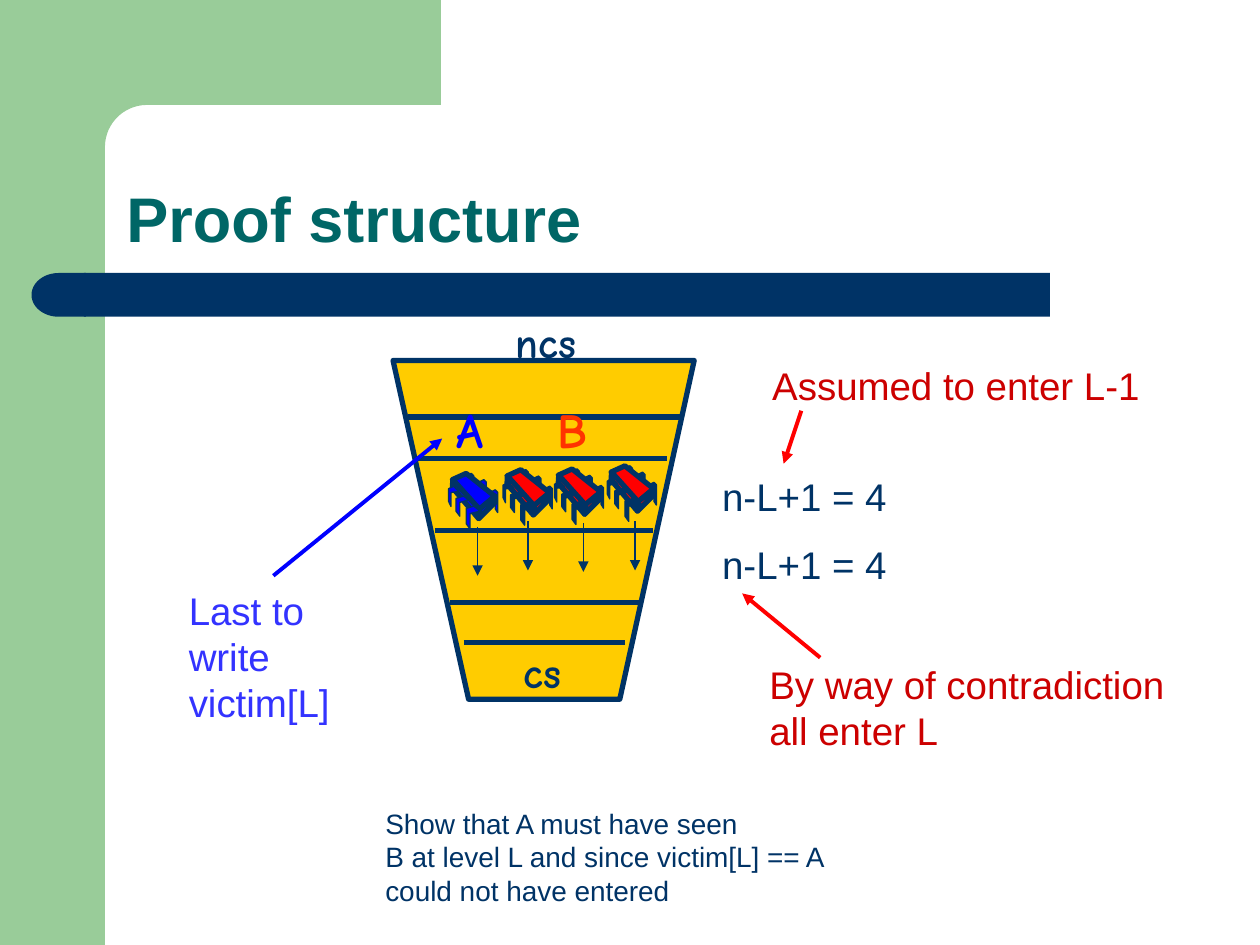
import math

import lxml.etree
import pptx
import pptx.dml.color
import pptx.enum.shapes
import pptx.enum.text
import pptx.oxml.ns
import pptx.util

Pt = pptx.util.Pt
RGBColor = pptx.dml.color.RGBColor
SHAPE = pptx.enum.shapes.MSO_SHAPE
qn = pptx.oxml.ns.qn

GREEN = RGBColor(0x99, 0xCC, 0x99)
NAVY = RGBColor(0x00, 0x33, 0x66)
TEAL = RGBColor(0x00, 0x66, 0x66)
GOLD = RGBColor(0xFF, 0xCC, 0x00)
RED = RGBColor(0xFF, 0x00, 0x00)
DARK_RED = RGBColor(0xCC, 0x00, 0x00)
ORANGE = RGBColor(0xFF, 0x33, 0x00)
BLUE = RGBColor(0x00, 0x00, 0xFF)
SOFT_BLUE = RGBColor(0x33, 0x33, 0xFF)


def add_outline(shapes, points, fill, line=None, weight=0):
    """Add a closed polygon through points, given in points of length."""
    corners = [(Pt(x), Pt(y)) for x, y in points]
    builder = shapes.build_freeform(*corners[0])
    builder.add_line_segments(corners[1:], close=True)
    outline = builder.convert_to_shape()
    outline.shadow.inherit = False
    outline.fill.solid()
    outline.fill.fore_color.rgb = fill
    if line is None:
        outline.line.fill.background()
    else:
        outline.line.color.rgb = line
        outline.line.width = Pt(weight)


def add_text(shapes, box, lines, color, font_format, frame_format):
    frame = shapes.add_textbox(*[Pt(length) for length in box]).text_frame
    for name, value in frame_format.items():
        setattr(frame, name, value)
    for index, line in enumerate(lines):
        paragraph = frame.paragraphs[0] if index == 0 else frame.add_paragraph()
        run = paragraph.add_run()
        run.text = line
        run.font.color.rgb = color
        for name, value in font_format.items():
            setattr(run.font, name, value)


LABEL_FRAME = {"word_wrap": True, "auto_size": pptx.enum.text.MSO_AUTO_SIZE.SHAPE_TO_FIT_TEXT}
TITLE_FRAME = {"word_wrap": True, "vertical_anchor": pptx.enum.text.MSO_ANCHOR.BOTTOM}
TITLE_FONT = {"name": "Arial", "size": Pt(36), "bold": True}
NOTE_FONT = {"name": "Arial", "size": Pt(22)}
SUMMARY_FONT = {"name": "Arial", "size": Pt(16)}
SECTION_FONT = {"name": "Comic Neue", "size": Pt(24), "bold": True}
THREAD_FONT = {"name": "Comic Neue", "size": Pt(28), "bold": True}

deck = pptx.Presentation()
deck.slide_width, deck.slide_height = Pt(720), Pt(540)
slide = deck.slides.add_slide(deck.slide_layouts[6])
shapes = slide.shapes

# Green frame with a rounded inner corner, and the bar under the title
for kind, box, color in [
    (SHAPE.RECTANGLE, (0, 0, 60, 540), GREEN),
    (SHAPE.RECTANGLE, (48, 156, 552, 25), NAVY),
    (SHAPE.FLOWCHART_DELAY, (18, 156, 31, 25), NAVY),
]:
    part = shapes.add_shape(kind, *[Pt(length) for length in box])
    part.shadow.inherit = False
    part.fill.solid()
    part.fill.fore_color.rgb = color
    part.line.fill.background()
    if kind == SHAPE.FLOWCHART_DELAY:
        part.rotation = 180

radius = 24
corner_arc = [
    (60 + radius * (1 - math.sin(math.radians(angle))),
     60 + radius * (1 - math.cos(math.radians(angle))))
    for angle in range(0, 91, 6)
]
add_outline(shapes, [(252, 0), (252, 60), *corner_arc, (60, 92), (36, 92), (36, 0)], GREEN)

add_text(shapes, (65.2, 71, 612.7, 78.5), ["Proof structure"], TEAL, TITLE_FONT, TITLE_FRAME)
add_text(shapes, (287.5, 177.1, 54, 36), ["ncs"], NAVY, SECTION_FONT, LABEL_FRAME)

# Funnel of levels
add_outline(shapes, [(224.6, 206), (267.8, 399.6), (354.2, 399.6), (396.7, 206)], GOLD, NAVY, 3)

level_lines = [
    ((left, y), (right, y), NAVY, 3, False)
    for left, right, y in [
        (233.3, 388.8, 238.3), (237.6, 380.9, 262.1), (248.4, 373, 303.1),
        (257, 365, 344.2), (265, 357.1, 367.2),
    ]
]
descents = [
    ((x, y), (x, y + 28), NAVY, 0.75, True)
    for x, y in [(272.9, 301), (301.7, 298), (333.4, 298.8), (362.9, 298)]
]
pointers = [
    ((457.9, 234.7), (447.8, 265), RED, 2.25, True),
    ((468.7, 375.8), (424.1, 339.1), RED, 2.25, True),
    ((156.2, 329), (252.7, 250.6), BLUE, 2.25, True),
]
for start, end, color, weight, has_head in level_lines + descents + pointers:
    connector = shapes.add_connector(
        pptx.enum.shapes.MSO_CONNECTOR.STRAIGHT,
        *[Pt(length) for length in start + end])
    connector.line.color.rgb = color
    connector.line.width = Pt(weight)
    if has_head:
        line_xml = connector.line._get_or_add_ln()
        lxml.etree.SubElement(line_xml, qn("a:tailEnd"), type="triangle")
    lxml.etree.SubElement(connector._element.spPr, qn("a:effectLst"))

# Desks: each part is an offset in the desk, a polygon and a line weight
LONG_LEG = [(0, 1.4), (2.9, 0), (4.3, 1.4), (4.3, 13), (2.9, 10.8), (2.9, 3.6), (0, 5.8)]
SHORT_LEG = [(0, 1.4), (2.9, 0), (4.3, 1.4), (4.3, 11), (2.9, 9.4), (2.9, 2.9), (0, 4.3)]
FRONT_LEG = [(4.3, 0), (7.9, 2.9), (2.2, 4.3), (2.2, 13), (0, 10.1), (0, 1.4)]
MIDDLE_LEG = [(4.3, 0), (7.2, 2.2), (2.2, 3.6), (2.2, 11.5), (0, 8.6), (0, 1.4)]
BACK_LEG = [(2.9, 0), (5.8, 2.9), (1.4, 3.6), (1.4, 11.5), (0, 8.6), (0, 1.4)]
TOP = [(10.1, 0), (26.6, 13.2), (17.3, 20.9), (2.2, 3.6)]
LEFT_SIDE = [(2.5, 3.6), (17.7, 20.5), (17.3, 25.9), (2.2, 8.1)]
RIGHT_SIDE = [(26.6, 13), (26.6, 16.6), (17.3, 25.9), (18, 20.2)]
DESK_PARTS = [
    ((23.8, 9.4), LONG_LEG, 0.75), ((17.3, 3.6), LONG_LEG, 0.75),
    ((10.1, 0), SHORT_LEG, 0.75),
    ((0, 0), TOP, 3), ((0, 0), LEFT_SIDE, 3), ((0, 0), RIGHT_SIDE, 3),
    ((10.1, 18.7), FRONT_LEG, 0.75), ((4.3, 13), MIDDLE_LEG, 0.75),
    ((0, 7.4), BACK_LEG, 0.75),
]
for left, top, body_color, leg_color in [
    (316.8, 268, RED, NAVY), (287.5, 268.4, RED, NAVY),
    (347, 266.2, RED, NAVY), (256.3, 270.5, BLUE, BLUE),
]:
    desk = shapes.add_group_shape()
    for (dx, dy), polygon, weight in DESK_PARTS:
        points = [(left + dx + x, top + dy + y) for x, y in polygon]
        add_outline(desk.shapes, points, body_color if weight == 3 else leg_color, NAVY, weight)

for box, lines, color, font_format in [
    ((292, 365.8, 40, 36), ["cs"], NAVY, SECTION_FONT),
    ((434.2, 203.4, 232, 34), ["Assumed to enter L-1"], DARK_RED, NOTE_FONT),
    ((432.5, 374, 248, 60.5), ["By way of contradiction", "all enter L"], DARK_RED, NOTE_FONT),
    ((405.6, 266.6, 116, 34), ["n-L+1 = 4"], NAVY, NOTE_FONT),
    ((405.6, 305.5, 116, 34), ["n-L+1 = 4"], NAVY, NOTE_FONT),
    ((253.8, 224.6, 34, 41), ["A"], BLUE, THREAD_FONT),
    ((311.4, 224.6, 36, 41), ["B"], ORANGE, THREAD_FONT),
    ((100.8, 331.9, 102, 86.4), ["Last to", "write", "victim[L]"], SOFT_BLUE, NOTE_FONT),
    ((213.1, 457.2, 274, 64.8),
     ["Show that A must have seen", "B at level L and since victim[L] == A",
      "could not have entered"], NAVY, SUMMARY_FONT),
]:
    add_text(shapes, box, lines, color, font_format, LABEL_FRAME)

deck.save("out.pptx")
